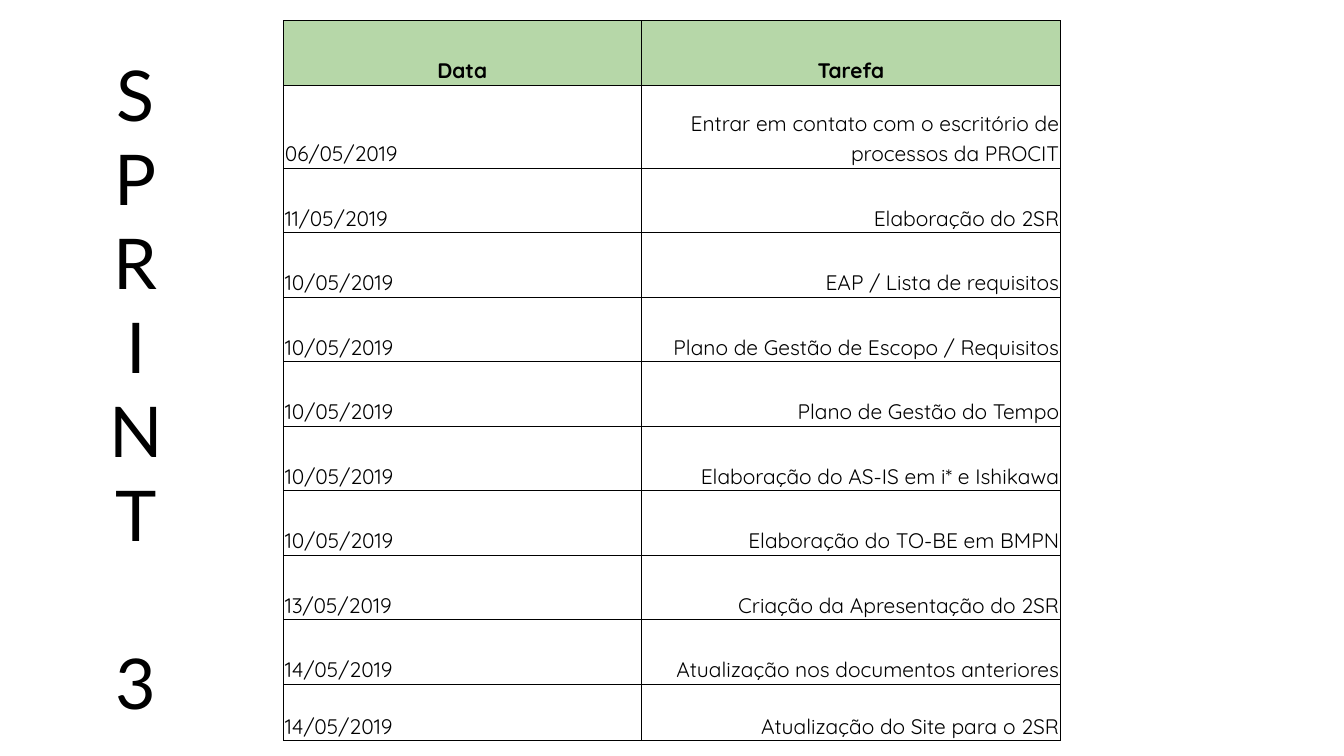
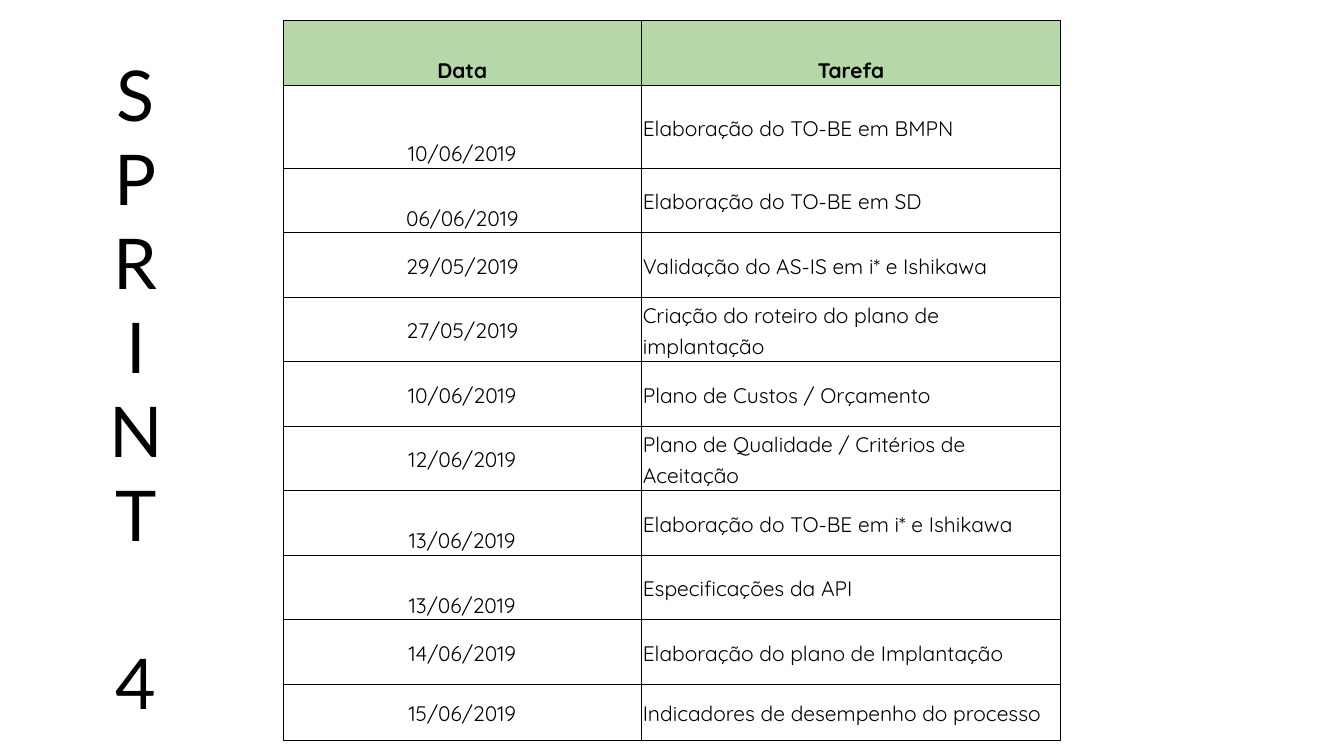
"""Build two sprint schedule slides, each with a vertical title and a task table."""
import pptx
import pptx.dml.color
import pptx.enum.text
import pptx.oxml
import pptx.oxml.ns
import pptx.util

Pt = pptx.util.Pt
ALIGN = pptx.enum.text.PP_ALIGN
ANCHOR = pptx.enum.text.MSO_ANCHOR

BLACK = pptx.dml.color.RGBColor(0x00, 0x00, 0x00)
WHITE = pptx.dml.color.RGBColor(0xFF, 0xFF, 0xFF)
GREEN = pptx.dml.color.RGBColor(0xB6, 0xD7, 0xA8)

TITLE_FONT = "Lato"
TABLE_FONT = "Quicksand"
TITLE_SIZE = 100
TITLE_LINE = 120
TABLE_SIZE = 30
SLIDE_SIZE = (1919.52, 1080)
TITLE_BOX = (117.36, 66.24, 153.36, 725.04)
TABLE_POS = (404.64, 29.52)
COL_WIDTHS = (511.2, 599.04)
ROW_HEIGHTS = (92.16, 118.08, *[92.16] * 8, 80.64)
HEADERS = ("Data", "Tarefa")

SPRINT_3 = [
    ("06/05/2019", "Entrar em contato com o escritório de processos da PROCIT"),
    ("11/05/2019", "Elaboração do 2SR"),
    ("10/05/2019", "EAP / Lista de requisitos"),
    ("10/05/2019", "Plano de Gestão de Escopo / Requisitos"),
    ("10/05/2019", "Plano de Gestão do Tempo"),
    ("10/05/2019", "Elaboração do AS-IS em i* e Ishikawa"),
    ("10/05/2019", "Elaboração do TO-BE em BMPN"),
    ("13/05/2019", "Criação da Apresentação do 2SR"),
    ("14/05/2019", "Atualização nos documentos anteriores"),
    ("14/05/2019", "Atualização do Site para o 2SR"),
]
SPRINT_4 = [
    ("10/06/2019", "Elaboração do TO-BE em BMPN"),
    ("06/06/2019", "Elaboração do TO-BE em SD"),
    ("29/05/2019", "Validação do AS-IS em i* e Ishikawa"),
    ("27/05/2019", "Criação do roteiro do plano de implantação"),
    ("10/06/2019", "Plano de Custos / Orçamento"),
    ("12/06/2019", "Plano de Qualidade / Critérios de Aceitação"),
    ("13/06/2019", "Elaboração do TO-BE em i* e Ishikawa"),
    ("13/06/2019", "Especificações da API"),
    ("14/06/2019", "Elaboração do plano de Implantação"),
    ("15/06/2019", "Indicadores de desempenho do processo"),
]
SPRINT_4_LOW_DATES = {1, 2, 7, 8}


def set_font(p, name, size, bold=False):
    p.font.name = name
    p.font.size = Pt(size)
    p.font.bold = bold
    p.font.color.rgb = BLACK


def add_borders(cell):
    tc_pr = cell._tc.get_or_add_tcPr()
    for side in ("lnL", "lnR", "lnT", "lnB"):
        tc_pr.append(pptx.oxml.parse_xml(
            f'<a:{side} {pptx.oxml.ns.nsdecls("a")} w="{Pt(0.75)}">'
            f'<a:solidFill><a:srgbClr val="{BLACK}"/></a:solidFill></a:{side}>'))


def fill_cell(cell, text, align, anchor, fill=None, bold=False):
    cell.margin_left = cell.margin_right = Pt(2.16)
    cell.margin_top = cell.margin_bottom = Pt(1.44)
    cell.vertical_anchor = anchor
    add_borders(cell)
    if fill is None:
        cell.fill.background()
    else:
        cell.fill.solid()
        cell.fill.fore_color.rgb = fill
    p = cell.text_frame.paragraphs[0]
    p.text = text
    p.alignment = align
    p.line_spacing = 1.15
    set_font(p, TABLE_FONT, TABLE_SIZE, bold)


def add_title(s, number, box):
    tf = s.shapes.add_textbox(*map(Pt, box)).text_frame
    tf.word_wrap = True
    tf.margin_left = tf.margin_right = tf.margin_top = tf.margin_bottom = Pt(7.2)
    tf.text = "\n".join("SPRINT" + number)
    for p in tf.paragraphs:
        p.alignment = ALIGN.CENTER
        set_font(p, TITLE_FONT, TITLE_SIZE)
    tf.paragraphs[-1].space_before = Pt(TITLE_LINE)


def add_schedule(s, tasks, pos, date_align, task_align, task_anchor, low_dates):
    size = (sum(COL_WIDTHS), sum(ROW_HEIGHTS))
    table = s.shapes.add_table(len(tasks) + 1, 2, *map(Pt, pos + size)).table
    table.first_row = table.horz_banding = False
    for col, width in zip(table.columns, COL_WIDTHS):
        col.width = Pt(width)
    for row, height in zip(table.rows, ROW_HEIGHTS):
        row.height = Pt(height)
    for c, header in enumerate(HEADERS):
        fill_cell(table.cell(0, c), header, ALIGN.CENTER, ANCHOR.BOTTOM, GREEN, True)
    for r, (date, task) in enumerate(tasks, 1):
        low = r in low_dates
        fill_cell(table.cell(r, 0), date, date_align,
                  ANCHOR.BOTTOM if low else task_anchor, WHITE if low else None)
        fill_cell(table.cell(r, 1), task, task_align, task_anchor)


def add_sprint(prs, number, tasks, date_align, task_align, task_anchor, low_dates=()):
    s = prs.slides.add_slide(prs.slide_layouts[6])
    s.background.fill.solid()
    s.background.fill.fore_color.rgb = WHITE
    add_schedule(s, tasks, TABLE_POS, date_align, task_align, task_anchor, low_dates)
    add_title(s, number, TITLE_BOX)


def main():
    prs = pptx.Presentation()
    prs.slide_width, prs.slide_height = map(Pt, SLIDE_SIZE)
    add_sprint(prs, "3", SPRINT_3, ALIGN.LEFT, ALIGN.RIGHT, ANCHOR.BOTTOM)
    add_sprint(prs, "4", SPRINT_4, ALIGN.CENTER, ALIGN.LEFT, ANCHOR.MIDDLE,
               SPRINT_4_LOW_DATES)
    prs.save("out.pptx")


if __name__ == "__main__":
    main()
